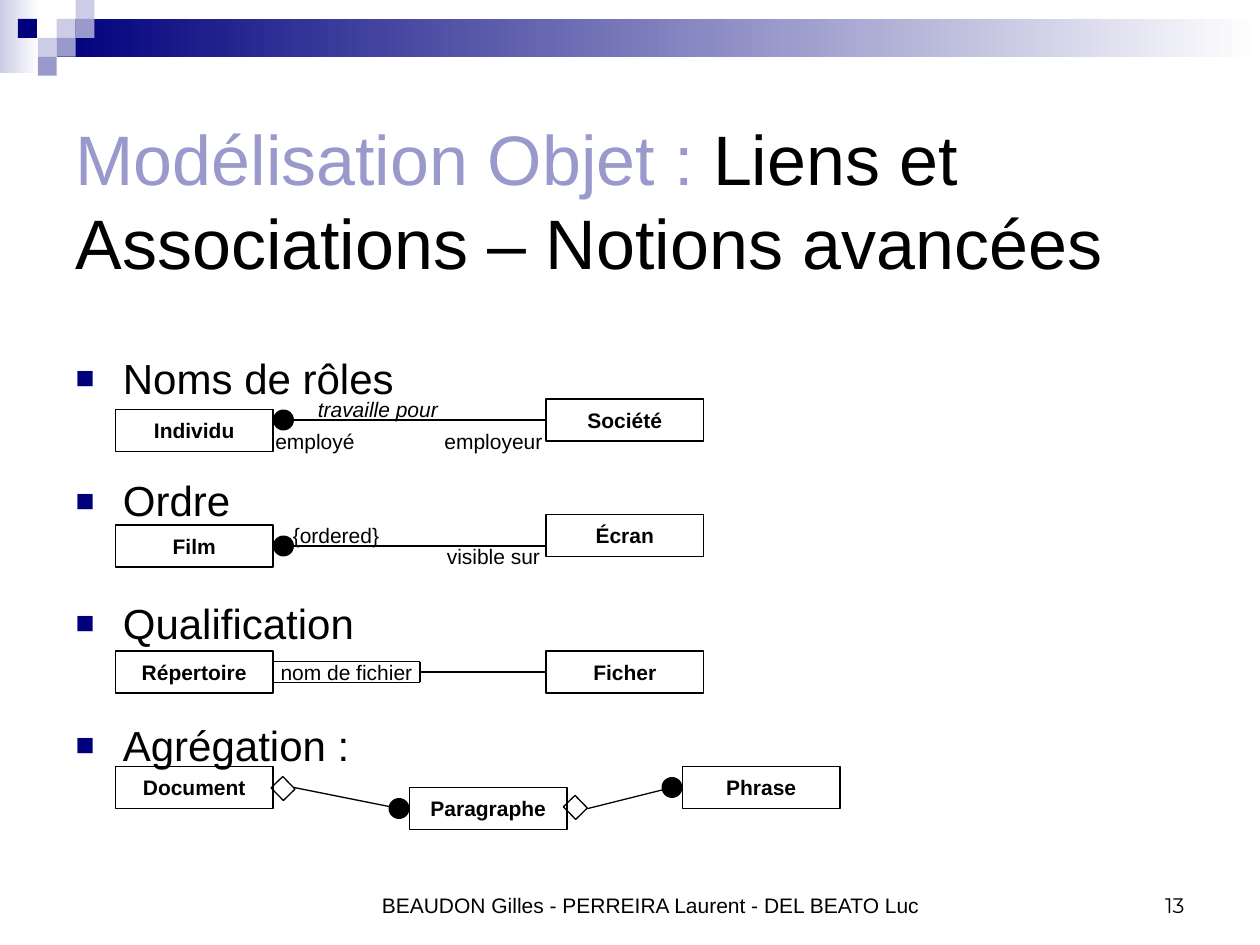
from lxml import etree
from pptx import Presentation
from pptx.dml.color import RGBColor
from pptx.enum.shapes import MSO_CONNECTOR, MSO_SHAPE
from pptx.enum.text import MSO_ANCHOR, MSO_AUTO_SIZE, PP_ALIGN
from pptx.oxml.ns import qn
from pptx.util import Inches, Pt

BLACK, NAVY, LILAC, PALE, WHITE = "000000", "00007D", "9999CC", "CCCCE6", "FFFFFF"
NODE_WIDTH, NODE_HEIGHT, DOT, LABEL_WIDTH = 15, 4, 2, 13  # in grid steps
LEFT_SIDE = 1


def color(hex_string):
    return RGBColor.from_string(hex_string)


def grid(steps):
    """The diagrams sit on a grid of twelve steps to the inch."""
    return Inches(steps / 12)


def add_run(paragraph, text, size, hex_color=BLACK, font="Arial", bold=False, italic=False):
    run = paragraph.add_run()
    run.text = text
    run.font.name, run.font.size = font, Pt(size)
    run.font.bold, run.font.italic = bold, italic
    run.font.color.rgb = color(hex_color)


def add_box(slide, kind, left, top, width, height, fill=None, line=None):
    shape = slide.shapes.add_shape(kind, left, top, width, height)
    shape.shadow.inherit = False
    if fill:
        shape.fill.solid()
        shape.fill.fore_color.rgb = color(fill)
    else:
        shape.fill.background()
    if line:
        shape.line.color.rgb = color(line)
        shape.line.width = Pt(0.75)
    else:
        shape.line.fill.background()
    return shape


def add_fade(slide, left, top, width, height, start):
    """Rectangle that fades to white towards the right."""
    shape = add_box(slide, MSO_SHAPE.RECTANGLE, left, top, width, height)
    shape.fill.gradient()
    shape.fill.gradient_angle = 0
    for stop, hex_color in zip(shape.fill.gradient_stops, (start, WHITE)):
        stop.color.rgb = color(hex_color)


# Parts of the diagrams, placed in grid steps
def add_node(slide, left, top, name):
    node = add_box(slide, MSO_SHAPE.RECTANGLE, grid(left), grid(top),
                   grid(NODE_WIDTH), grid(NODE_HEIGHT), line=BLACK)
    frame = node.text_frame
    frame.word_wrap = False
    frame.vertical_anchor = MSO_ANCHOR.MIDDLE
    frame.paragraphs[0].alignment = PP_ALIGN.CENTER
    add_run(frame.paragraphs[0], name, 12, bold=True)
    return node


def add_label(slide, center, top, text, italic=False):
    label = slide.shapes.add_textbox(grid(center - LABEL_WIDTH / 2), grid(top),
                                     grid(LABEL_WIDTH), grid(2))
    frame = label.text_frame
    frame.word_wrap = True
    frame.margin_left = frame.margin_right = frame.margin_top = frame.margin_bottom = 0
    frame.vertical_anchor = MSO_ANCHOR.MIDDLE
    frame.paragraphs[0].alignment = PP_ALIGN.CENTER
    add_run(frame.paragraphs[0], text, 12, italic=italic)


def add_line(slide, start_x, start_y, end_x, end_y, end_node=None):
    line = slide.shapes.add_connector(MSO_CONNECTOR.STRAIGHT, grid(start_x), grid(start_y),
                                      grid(end_x), grid(end_y))
    line.line.color.rgb = color(BLACK)
    line.line.width = Pt(0.75)
    etree.SubElement(line.element.spPr, qn("a:effectLst"))
    if end_node is not None:
        line.end_connect(end_node, LEFT_SIDE)


def add_dot(slide, left, top):
    add_box(slide, MSO_SHAPE.OVAL, grid(left), grid(top), grid(DOT), grid(DOT), fill=BLACK)


def add_diamond(slide, left, top):
    diamond = add_box(slide, MSO_SHAPE.RECTANGLE, left, top, Inches(0.14), Inches(0.13), line=BLACK)
    diamond.rotation = 45.8


# Regions of the slide
def build_banner(slide, left, top):
    cell = 0.15
    add_fade(slide, left, top, Inches(0.31), Inches(0.58), PALE)
    add_fade(slide, left + Inches(0.45), top + Inches(cell), Inches(9.55), Inches(0.3), NAVY)
    mosaic = [(3, 1, PALE), (4, 0, PALE), (4, 1, LILAC), (2, 2, PALE),
              (0.95, 1, NAVY), (3, 2, LILAC), (2, 3, LILAC)]
    for column, row, fill in mosaic:
        add_box(slide, MSO_SHAPE.RECTANGLE, left + Inches(column * cell),
                top + Inches(row * cell), Inches(cell), Inches(cell), fill=fill)


def place_placeholder(shape, left, top, width, height, anchor):
    shape.left, shape.top, shape.width, shape.height = left, top, width, height
    frame = shape.text_frame
    frame.word_wrap = True
    frame.auto_size = MSO_AUTO_SIZE.NONE
    frame.vertical_anchor = anchor
    return frame


def build_title(slide, left, top, width, height):
    frame = place_placeholder(slide.shapes.title, left, top, width, height, MSO_ANCHOR.MIDDLE)
    paragraph = frame.paragraphs[0]
    paragraph.alignment = PP_ALIGN.LEFT
    add_run(paragraph, "Modélisation Objet :", 40, LILAC)
    add_run(paragraph, " Liens et Associations – Notions avancées", 40)


def add_bullet(paragraph):
    properties = paragraph._p.get_or_add_pPr()
    properties.set("marL", str(Pt(27)))
    properties.set("indent", str(-Pt(27)))
    bullet_color = etree.SubElement(properties, qn("a:buClr"))
    etree.SubElement(bullet_color, qn("a:srgbClr"), val=NAVY)
    etree.SubElement(properties, qn("a:buSzPct"), val="75000")
    etree.SubElement(properties, qn("a:buFont"), typeface="Arial")
    etree.SubElement(properties, qn("a:buChar"), char="■")


def build_list(slide, left, top, width, height):
    frame = place_placeholder(slide.placeholders[1], left, top, width, height, MSO_ANCHOR.TOP)
    for index, text in enumerate(("Noms de rôles", "Ordre", "Qualification", "Agrégation :")):
        paragraph = frame.add_paragraph() if index else frame.paragraphs[0]
        add_bullet(paragraph)
        paragraph.space_before = Pt(41 if index else 0)
        add_run(paragraph, text, 24)


def build_association(slide, left, top, source, target, line_y):
    """Many-to-one link; line_y is counted from the top of the target."""
    right = left + 41
    add_node(slide, left, top + 1, source)
    target_node = add_node(slide, right, top, target)
    add_dot(slide, left + NODE_WIDTH, top + line_y - 1)
    joined = target_node if line_y == NODE_HEIGHT / 2 else None
    add_line(slide, left + 16, top + line_y, right, top + line_y, joined)


def build_roles(slide, left, top):
    build_association(slide, left, top, "Individu", "Société", 2)
    add_label(slide, left + 25, top, "travaille pour", italic=True)
    add_label(slide, left + 19, top + 3, "employé")
    add_label(slide, left + 36, top + 3, "employeur")


def build_order(slide, left, top):
    build_association(slide, left, top, "Film", "Écran", 3)
    add_label(slide, left + 21, top + 1, "{ordered}")
    add_label(slide, left + 36, top + 3, "visible sur")


def build_qualification(slide, left, top):
    add_node(slide, left, top, "Répertoire")
    target = add_node(slide, left + 41, top, "Ficher")
    # Open qualifier box beside the source
    start, end = left + NODE_WIDTH, left + 29
    for y in (top + 1, top + 3):
        add_line(slide, start, y, end, y)
    add_line(slide, end, top + 3, end, top + 1)
    add_line(slide, end, top + 2, left + 41, top + 2, target)
    add_label(slide, left + 22, top + 1, "nom de fichier")


def build_aggregation(slide, left, top):
    for x, y, name in ((0, 0, "Document"), (28, 2, "Paragraphe"), (54, 0, "Phrase")):
        add_node(slide, left + x, top + y, name)
    add_diamond(slide, grid(left) + Inches(1.26), grid(top) + Inches(0.11))
    add_diamond(slide, grid(left) + Inches(3.58), grid(top) + Inches(0.26))
    for start_x, start_y, end_x, end_y in ((17, 2, 27, 4), (45, 4, 53, 2)):
        add_dot(slide, left + end_x - 1, top + end_y - 1)
        add_line(slide, left + start_x, top + start_y, left + end_x, top + end_y)


def build_footer(slide, left, top, width, text, alignment, font):
    frame = slide.shapes.add_textbox(left, top, width, Inches(0.5)).text_frame
    frame.word_wrap = True
    frame.vertical_anchor = MSO_ANCHOR.BOTTOM
    frame.paragraphs[0].alignment = alignment
    add_run(frame.paragraphs[0], text, 12, font=font)


def main():
    presentation = Presentation()
    presentation.slide_width, presentation.slide_height = Inches(10), Inches(7.5)
    slide = presentation.slides.add_slide(presentation.slide_layouts[1])
    build_banner(slide, Inches(0), Inches(0))
    build_title(slide, Inches(0.5), Inches(0.83), Inches(9), Inches(1.5))
    build_list(slide, Inches(0.5), Inches(2.75), Inches(9), Inches(4.39))
    build_roles(slide, 11, 38)
    build_order(slide, 11, 49)
    build_qualification(slide, 11, 62)
    build_aggregation(slide, 11, 73)
    build_footer(slide, Inches(2), Inches(6.83), Inches(6.33),
                 "BEAUDON Gilles - PERREIRA Laurent - DEL BEATO Luc", PP_ALIGN.CENTER, "Arial")
    build_footer(slide, Inches(8.5), Inches(6.83), Inches(1), "13", PP_ALIGN.RIGHT, "Montserrat")
    presentation.save("out.pptx")


if __name__ == "__main__":
    main()
